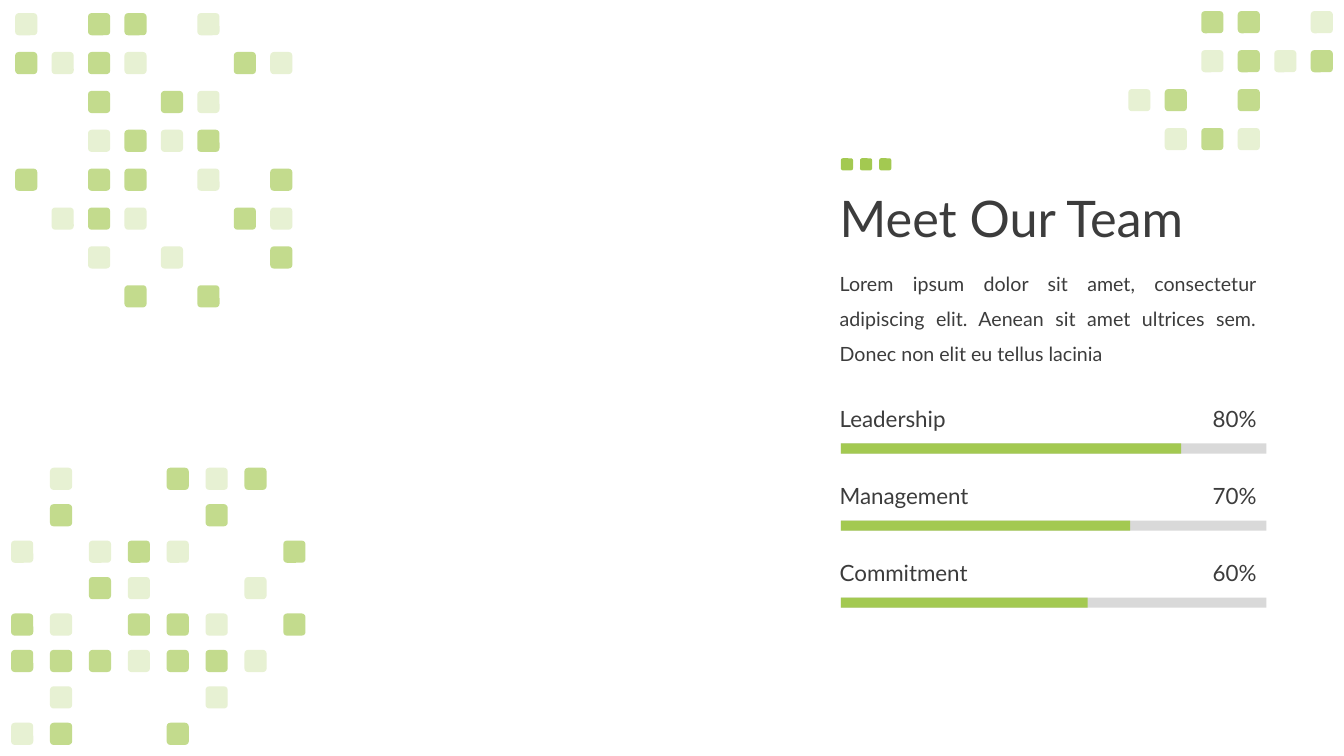
import pptx
import pptx.util
import pptx.dml.color
import pptx.enum.shapes
import pptx.enum.text
import pptx.oxml
import pptx.oxml.ns

COLUMNS, ROWS = 1333, 750
CELL = pptx.util.Inches(0.01)
COLORS = {"green": "A3C951", "track": "D9D9D9", "ink": "3C3C3C"}
OPACITY = {"D": 65, "L": 25}
KINDS = pptx.enum.shapes.MSO_SHAPE
ALIGN = pptx.enum.text.PP_ALIGN
ANCHOR = pptx.enum.text.MSO_ANCHOR

UPPER_LEFT = ["L.DD.L..", "DLDL..DL", "..D.DL..", "..LDLD..",
              "D.DD.L.D", ".LDL..DL", "..L.L..D", "...D.D.."]
LOWER_LEFT = [".L..DLD.", ".D...D..", "L.LDL..D", "..DL..L.",
              "DL.DDL.D", "DDDLDDL.", ".L...L..", "LD..D..."]
UPPER_RIGHT = ["..DD.L", "..LDLD", "LD.D..", ".LDL.."]
SKILLS = [("Leadership", "80%", 0.8), ("Management", "70%", 0.68),
          ("Commitment", "60%", 0.58)]


def span(*cells):
    return [round(cell * CELL) for cell in cells]


def add_block(shapes, kind, cells, color, opacity=100):
    block = shapes.add_shape(kind, *span(*cells))
    block.shadow.inherit = False
    block.line.fill.background()
    block.fill.solid()
    block.fill.fore_color.rgb = pptx.dml.color.RGBColor.from_string(COLORS[color])
    if opacity < 100:
        tint = block.fill._xPr.find(".//" + pptx.oxml.ns.qn("a:srgbClr"))
        tint.append(pptx.oxml.parse_xml(
            f'<a:alpha {pptx.oxml.ns.nsdecls("a")} val="{opacity * 1000}"/>'))


def add_words(slide, cells, words, size, anchor=ANCHOR.MIDDLE, **layout):
    frame = slide.shapes.add_textbox(*span(*cells)).text_frame
    for key, value in {"word_wrap": True, "vertical_anchor": anchor}.items():
        setattr(frame, key, value)
    paragraph = frame.paragraphs[0]
    for key, value in layout.items():
        setattr(paragraph, key, value)
    run = paragraph.add_run()
    run.text = words
    for key, value in {"name": "Lato", "size": pptx.util.Pt(size)}.items():
        setattr(run.font, key, value)
    run.font.color.rgb = pptx.dml.color.RGBColor.from_string(COLORS["ink"])


def add_mosaic(slide, box, pattern, tile=22):
    left, top, width, height = box
    across = (width - tile) / (len(pattern[0]) - 1)
    down = (height - tile) / (len(pattern) - 1)
    tiles = slide.shapes.add_group_shape().shapes
    for row, marks in enumerate(pattern):
        for column, mark in enumerate(marks):
            if mark in OPACITY:
                cells = (left + column * across, top + row * down, tile, tile)
                add_block(tiles, KINDS.ROUNDED_RECTANGLE, cells, "green", OPACITY[mark])


def add_intro(slide, box):
    left, top, width, height = box
    dots = slide.shapes.add_group_shape().shapes
    for index in range(3):
        add_block(dots, KINDS.ROUNDED_RECTANGLE,
                  (left + 11 + 19 * index, top + 10, 12, 12), "green")
    add_words(slide, (left, top, width, 145), "Meet Our Team", 36, line_spacing=0.9)
    add_words(slide, (left, top + 106, width, height - 106),
              "Lorem ipsum dolor sit amet, consectetur adipiscing elit. "
              "Aenean sit amet ultrices sem. Donec non elit eu tellus lacinia",
              14, ANCHOR.TOP, alignment=ALIGN.JUSTIFY, line_spacing=1.5)


def add_skills(slide, box):
    left, top, width, height = box
    label_height, bar_top, bar_height = 37, 43, 10
    pitch = (height - bar_top - bar_height) / (len(SKILLS) - 1)
    track_left, track_width = left + 11, width - 11
    for index, (skill, percent, share) in enumerate(SKILLS):
        y = top + index * pitch
        add_words(slide, (left, y, 207, label_height), skill, 16)
        add_words(slide, (left + width - 106, y, 106, label_height),
                  percent, 16, alignment=ALIGN.RIGHT)
        for color, part in (("track", 1), ("green", share)):
            add_block(slide.shapes, KINDS.RECTANGLE,
                      (track_left, y + bar_top, track_width * part, bar_height), color)


def main():
    deck = pptx.Presentation()
    deck.slide_width, deck.slide_height = span(COLUMNS, ROWS)
    slide = deck.slides.add_slide(deck.slide_layouts[6])
    add_mosaic(slide, (15, 13, 275, 292), UPPER_LEFT)
    add_mosaic(slide, (11, 464, 292, 275), LOWER_LEFT)
    add_mosaic(slide, (1119, 11, 203, 138), UPPER_RIGHT)
    add_intro(slide, (823, 147, 433, 217))
    add_skills(slide, (823, 397, 433, 206))
    deck.save("out.pptx")


if __name__ == "__main__":
    main()
